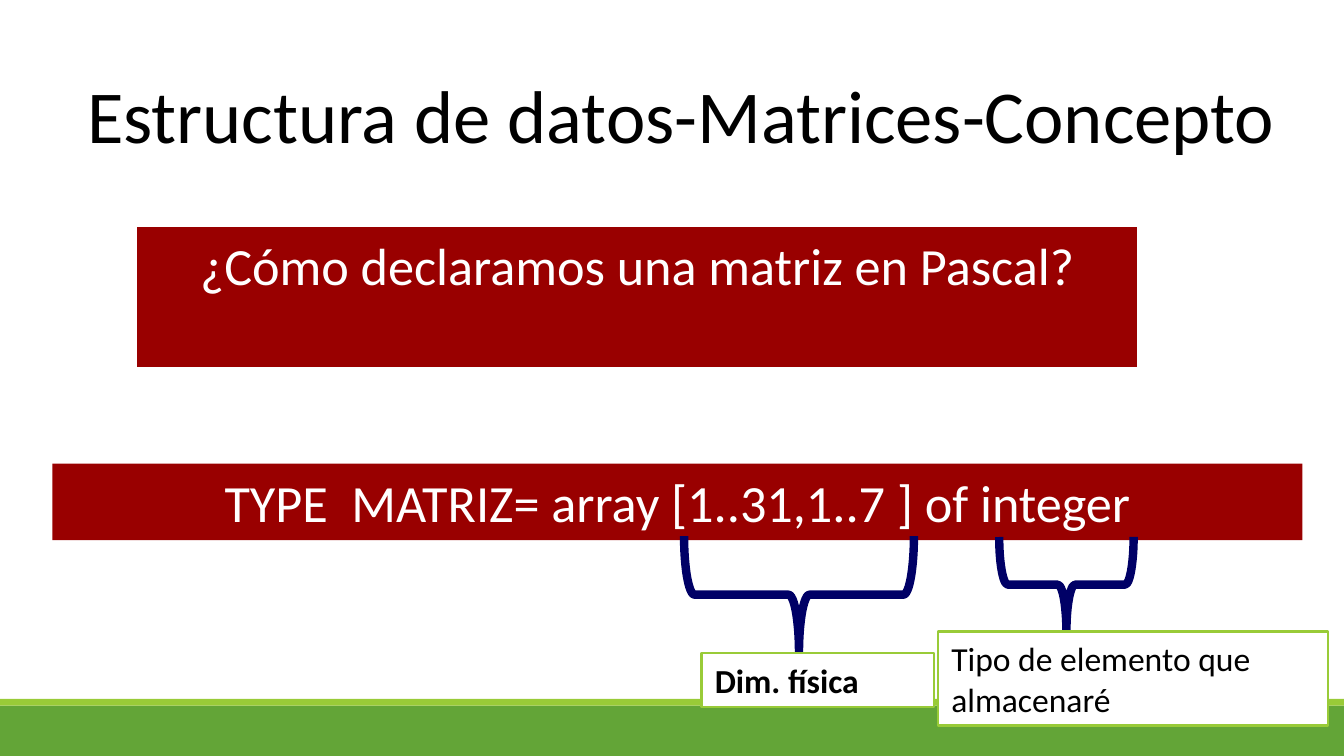
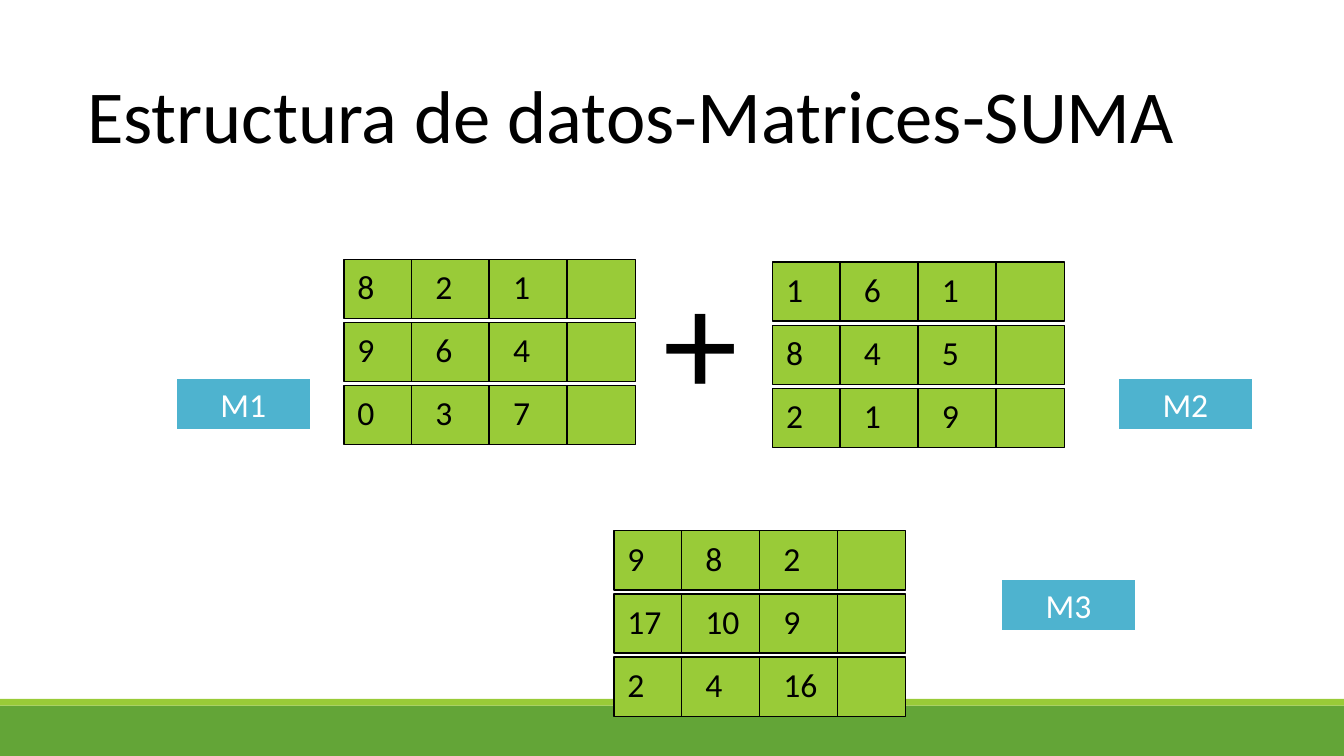
from lxml import etree
from pptx import Presentation
from pptx import util as u
from pptx.dml.color import RGBColor
from pptx.enum import shapes, text
from pptx.oxml.ns import qn

PX = 9144
FONT = "Calibri"
BLACK, WHITE = "000000", "FFFFFF"
GREEN, LIME = "63A537", "99CB38"
RED, NAVY, BLUE = "990000", "000066", "4EB3CF"

ROW_WIDTH, ROW_HEIGHT, ROW_STEP = 217, 44, 47
COLUMN_STEP, FIRST_DIVIDER, DIVIDERS = 58, 50, 3


def px(*lengths):
    return [u.Emu(length * PX) for length in lengths]


def color(value):
    return RGBColor.from_string(value)


def apply(target, values):
    for name, value in values.items():
        setattr(target, name, value)


def set_line(line, value, points):
    line.color.rgb = color(value)
    line.width = u.Pt(points)


def write(box, words, size=18, ink=BLACK, bold=False, frame=None, para=None):
    frame_values = {"word_wrap": True, "vertical_anchor": text.MSO_ANCHOR.TOP}
    apply(box.text_frame, frame_values | (frame or {}))
    paragraph = box.text_frame.paragraphs[0]
    apply(paragraph, {"alignment": text.PP_ALIGN.LEFT} | (para or {}))
    span = paragraph.add_run()
    span.text = words
    apply(span.font, {"name": FONT, "size": u.Pt(size), "bold": bold})
    span.font.color.rgb = color(ink)


def add_shape(page, kind, place, fill=None, line=None):
    shape = page.shapes.add_shape(kind, *px(*place))
    shape.shadow.inherit = False
    if fill:
        shape.fill.solid()
        shape.fill.fore_color.rgb = color(fill)
    else:
        shape.fill.background()
    if line:
        set_line(shape.line, *line)
    else:
        shape.line.fill.background()
    return shape


def add_box(page, place, fill, line=None):
    return add_shape(page, shapes.MSO_SHAPE.RECTANGLE, place, fill, line)


def add_text(page, place, words, **style):
    write(page.shapes.add_textbox(*px(*place)), words, **style)


def add_page(deck, title):
    page = deck.slides.add_slide(deck.slide_layouts[6])
    add_box(page, (0, 525, 1000, 38), GREEN)
    add_box(page, (0, 520, 1000, 5), LIME)
    add_text(page, (55, 13, 933, 110), title, size=40,
             frame={"vertical_anchor": text.MSO_ANCHOR.BOTTOM},
             para={"line_spacing": 0.85})
    return page


def add_banner(page, place, words):
    write(add_box(page, place, RED), words, size=28, ink=WHITE,
          para={"alignment": text.PP_ALIGN.CENTER, "space_before": u.Pt(17.5)})


def add_note(page, place, words, bold=False):
    write(add_box(page, place, WHITE, (LIME, 1.25)), words, bold=bold,
          para={"space_before": u.Pt(11.2)})


def add_brace(page, place):
    brace = add_shape(page, shapes.MSO_SHAPE.LEFT_BRACE, place, line=(NAVY, 4.5))
    brace.rotation = 270
    brace.adjustments[0] = 0.09


def add_label(page, left, top, words):
    write(add_box(page, (left, top, 102, 40), BLUE, (WHITE, 2)), words, ink=WHITE,
          para={"alignment": text.PP_ALIGN.CENTER, "space_before": u.Pt(11.2)})


def add_divider(page, x, top, bottom):
    divider = page.shapes.add_connector(
        shapes.MSO_CONNECTOR.STRAIGHT, *px(x, top, x, bottom))
    set_line(divider.line, BLACK, 0.75)
    etree.SubElement(divider._element.spPr, qn("a:effectLst"))


def add_matrix(page, left, top, rows):
    for row, numbers in enumerate(rows):
        y = top + row * ROW_STEP
        add_box(page, (left, y, ROW_WIDTH, ROW_HEIGHT), LIME, (BLACK, 0.75))
        for column in range(DIVIDERS):
            x = left + FIRST_DIVIDER + column * COLUMN_STEP
            add_divider(page, x, y, y + ROW_HEIGHT)
        for column, number in enumerate(numbers):
            width = 42 if number < 10 else 56
            add_text(page, (left + column * COLUMN_STEP, y, width, 40), str(number),
                     para={"space_before": u.Pt(11.2)})


def build_concept(deck):
    page = add_page(deck, "Estructura de datos-Matrices-Concepto")
    add_banner(page, (102, 169, 744, 104), "¿Cómo declaramos una matriz en Pascal?")
    add_banner(page, (39, 345, 930, 57), "TYPE  MATRIZ= array [1..31,1..7 ] of integer")
    add_brace(page, (551, 357, 87, 171))
    add_note(page, (522, 486, 173, 40), "Dim. física", bold=True)
    add_brace(page, (758, 385, 71, 100))
    add_note(page, (698, 470, 290, 70), "Tipo de elemento que almacenaré")


def build_sum(deck):
    page = add_page(deck, "Estructura de datos-Matrices-SUMA")
    add_matrix(page, 256, 193, [(8, 2, 1), (9, 6, 4), (0, 3, 7)])
    add_label(page, 130, 281, "M1")
    add_matrix(page, 575, 195, [(1, 6, 1), (8, 4, 5), (2, 1, 9)])
    add_label(page, 831, 281, "M2")
    add_matrix(page, 457, 395, [(9, 8, 2), (17, 10, 9), (2, 4, 16)])
    add_label(page, 744, 430, "M3")
    add_text(page, (484, 179, 47, 144), "+", size=80)


def main():
    deck = Presentation()
    deck.slide_width = u.Emu(1000 * PX)
    deck.slide_height = u.Emu(deck.slide_width * 9 // 16)
    build_concept(deck)
    build_sum(deck)
    deck.save("out.pptx")


if __name__ == "__main__":
    main()
